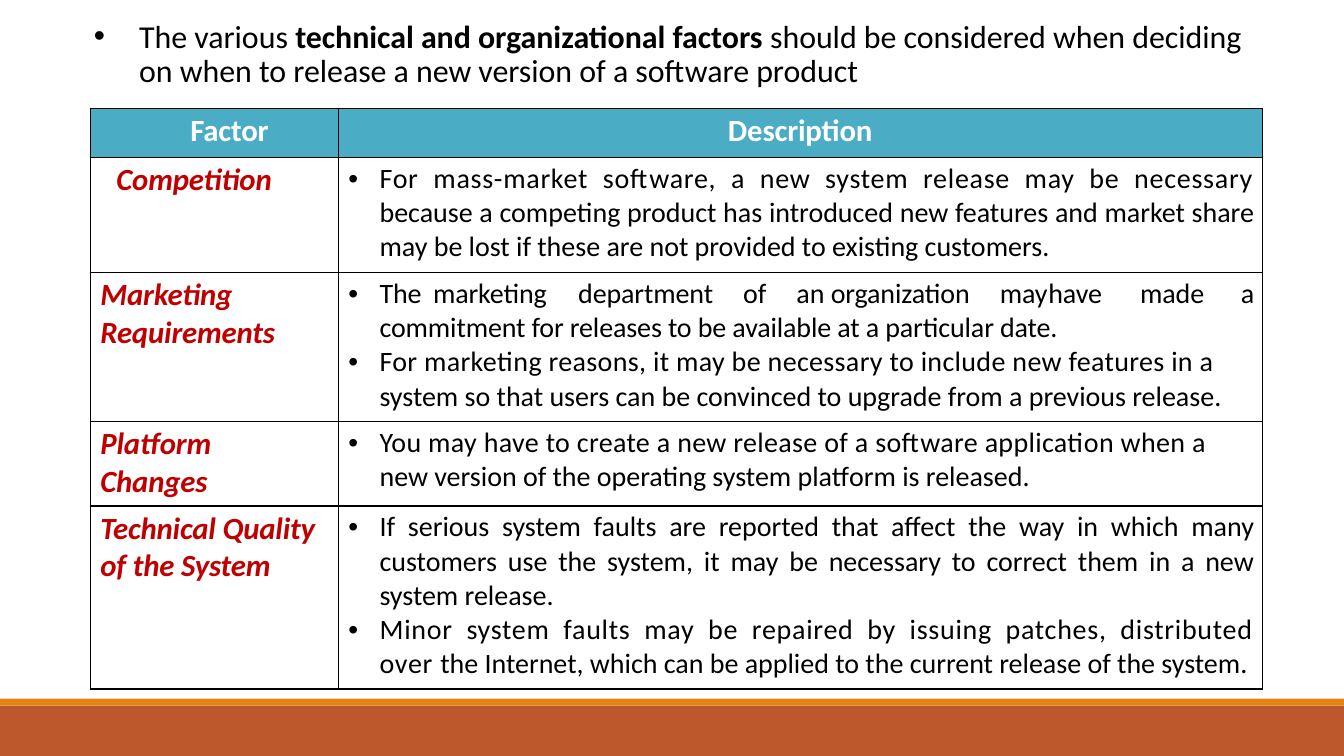
from lxml import etree
from pptx import Presentation
from pptx.dml.color import RGBColor
from pptx.enum.shapes import MSO_SHAPE
from pptx.enum.text import PP_ALIGN
from pptx.oxml.ns import qn
from pptx.util import Inches, Pt

RECTANGLE = MSO_SHAPE.RECTANGLE
LEFT, CENTER, RIGHT, JUSTIFY = PP_ALIGN.LEFT, PP_ALIGN.CENTER, PP_ALIGN.RIGHT, PP_ALIGN.JUSTIFY
COLORS = {"black": "000000", "white": "FFFFFF", "header": "4AACC5", "factor": "C00000",
          "rust": "BD582C", "orange": "E48312"}
FONT = "Calibri"
SLIDE_WIDTH, SLIDE_HEIGHT = 13.33, 7.5
COLUMN_SHARES = [18.45, 68.75]
ROW_SHARES = [6.5, 15.2, 19.7, 11.2, 24.2]
# Letter spacing in points
TIGHT, TIGHTER, LOOSE, LOOSER = -0.03, -0.1, 0.24, 0.5

INTRODUCTION = [("The various ", False), ("technical and organizational factors ", True),
                ("should be considered when deciding on when to release "
                 "a new version of a software product", False)]
HEADERS = [("Factor", RIGHT, 0.69), ("Description", CENTER, 0)]
# Factor, its alignment, left and right indents
FACTORS = [("Competition", RIGHT, 0, 0.66),
           ("Marketing Requirements", LEFT, 0.1, 0),
           ("Platform Changes", LEFT, 0.1, 0.6),
           ("Technical Quality of the System", LEFT, 0.1, 0)]
MARKETING_TABS = [0.41, 0.94, 2.08, 3.39, 3.76, 4.17, 5.52, 6.09]
# Paragraphs of each description: runs with letter spacing, alignment, whether bulleted, tab stops
DESCRIPTIONS = [
    [([("For mass-market software, a new system release may be necessary ", LOOSER),
       ("because a competing product has introduced new features and market share may be "
        "lost if these are not provided to existing customers.", TIGHT)],
      JUSTIFY, True, [0.41])],
    [([("The\tmarketing\t department of an\torganization may\thave\tmade\ta commitment for "
        "releases to be available at a particular date.", TIGHTER)],
      JUSTIFY, True, MARKETING_TABS),
     ([("For marketing reasons, it may be necessary to include new features in a", LOOSE)],
      JUSTIFY, True, [0.41]),
     ([("system so that users can be convinced to upgrade from a previous release.", TIGHT)],
      JUSTIFY, False, [])],
    [([("You may have to create a new release of a software application when a ", LOOSE),
       ("new version of the operating system platform is released.", TIGHT)],
      LEFT, True, [0.41])],
    [([("If serious system faults are reported that affect the way in which many customers "
        "use the system, it may be necessary to correct them in a new system release.",
        TIGHT)], JUSTIFY, True, [0.41]),
     ([("Minor system faults may be repaired by issuing patches, distributed over ", LOOSER),
       ("the Internet, which can be applied to the current release of the system.", TIGHT)],
      JUSTIFY, True, [0.41])],
]


def across(percent):
    return Inches(SLIDE_WIDTH * percent / 100)


def down(percent):
    return Inches(SLIDE_HEIGHT * percent / 100)


def color(name):
    return RGBColor.from_string(COLORS[name])


def set_margins(box, top):
    box.margin_left = box.margin_right = box.margin_bottom = 0
    box.margin_top = Inches(top)


def add_run(paragraph, text, size, color_name, spacing=TIGHT, bold=False, italic=False):
    run = paragraph.add_run()
    run.text = text
    run.font.name = FONT
    run.font.size = Pt(size)
    run.font.bold = bold
    run.font.italic = italic
    run.font.color.rgb = color(color_name)
    run._r.get_or_add_rPr().set("spc", str(round(spacing * 100)))


def format_paragraph(paragraph, alignment=LEFT, left=0, right=0, first=0, bullet=False, tabs=()):
    """Set alignment, indents in inches, bullet and left tab stops."""
    paragraph.alignment = alignment
    properties = paragraph._p.get_or_add_pPr()
    for name, length in (("marL", left), ("marR", right), ("indent", first)):
        properties.set(name, str(Inches(length)))
    if bullet:
        etree.SubElement(properties, qn("a:buFont"), typeface="Arial")
        etree.SubElement(properties, qn("a:buChar"), char="•")
    else:
        etree.SubElement(properties, qn("a:buNone"))
    if tabs:
        tab_list = etree.SubElement(properties, qn("a:tabLst"))
        for position in tabs:
            etree.SubElement(tab_list, qn("a:tab"), pos=str(Inches(position)), algn="l")


def add_band(slide, top, height, color_name):
    band = slide.shapes.add_shape(RECTANGLE, 0, down(top), across(100), down(height))
    band.shadow.inherit = False
    band.fill.solid()
    band.fill.fore_color.rgb = color(color_name)
    band.line.fill.background()


def add_introduction(slide):
    box = slide.shapes.add_textbox(across(6.83), down(1.87), across(86.35), down(10.13))
    frame = box.text_frame
    frame.word_wrap = True
    set_margins(frame, 0.06)
    paragraph = frame.paragraphs[0]
    format_paragraph(paragraph, left=0.47, first=-0.45, bullet=True, tabs=[0.47])
    paragraph.line_spacing = Pt(24.6)
    for text, bold in INTRODUCTION:
        add_run(paragraph, text, 22.8, "black", bold=bold)


def add_borders(cell):
    properties = cell._tc.get_or_add_tcPr()
    for position, side in enumerate(("a:lnL", "a:lnR", "a:lnT", "a:lnB")):
        line = etree.Element(qn(side), w=str(Pt(0.96)))
        fill = etree.SubElement(line, qn("a:solidFill"))
        etree.SubElement(fill, qn("a:srgbClr"), val=COLORS["black"])
        properties.insert(position, line)


def fill_description(cell, descriptions):
    frame = cell.text_frame
    for index, (runs, alignment, bullet, tabs) in enumerate(descriptions):
        paragraph = frame.add_paragraph() if index else frame.paragraphs[0]
        format_paragraph(paragraph, alignment, 0.41, 0.08, -0.31 if bullet else 0, bullet, tabs)
        for text, spacing in runs:
            add_run(paragraph, text, 20, "black", spacing)


def add_factor_table(slide):
    frame = slide.shapes.add_table(len(ROW_SHARES), len(COLUMN_SHARES), across(6.72), down(14.35),
                                   across(sum(COLUMN_SHARES)), down(sum(ROW_SHARES)))
    table = frame.table
    table.first_row = table.horz_banding = False
    for column, share in zip(table.columns, COLUMN_SHARES):
        column.width = across(share)
    for row, share in zip(table.rows, ROW_SHARES):
        row.height = down(share)
    for cell in table.iter_cells():
        set_margins(cell, 0.04)
        cell.fill.background()
        add_borders(cell)

    for column, (text, alignment, right) in enumerate(HEADERS):
        cell = table.cell(0, column)
        cell.fill.solid()
        cell.fill.fore_color.rgb = color("header")
        paragraph = cell.text_frame.paragraphs[0]
        format_paragraph(paragraph, alignment, right=right)
        add_run(paragraph, text, 22, "white", TIGHTER, bold=True)

    for row, (factor, descriptions) in enumerate(zip(FACTORS, DESCRIPTIONS), start=1):
        text, alignment, left, right = factor
        paragraph = table.cell(row, 0).text_frame.paragraphs[0]
        format_paragraph(paragraph, alignment, left, right)
        add_run(paragraph, text, 22, "factor", TIGHTER, bold=True, italic=True)
        fill_description(table.cell(row, 1), descriptions)


def main():
    presentation = Presentation()
    presentation.slide_width = across(100)
    presentation.slide_height = down(100)
    slide = presentation.slides.add_slide(presentation.slide_layouts[6])
    add_band(slide, 93.33, 6.67, "rust")
    add_band(slide, 92.4, 0.93, "orange")
    add_introduction(slide)
    add_factor_table(slide)
    presentation.save("out.pptx")


if __name__ == "__main__":
    main()
